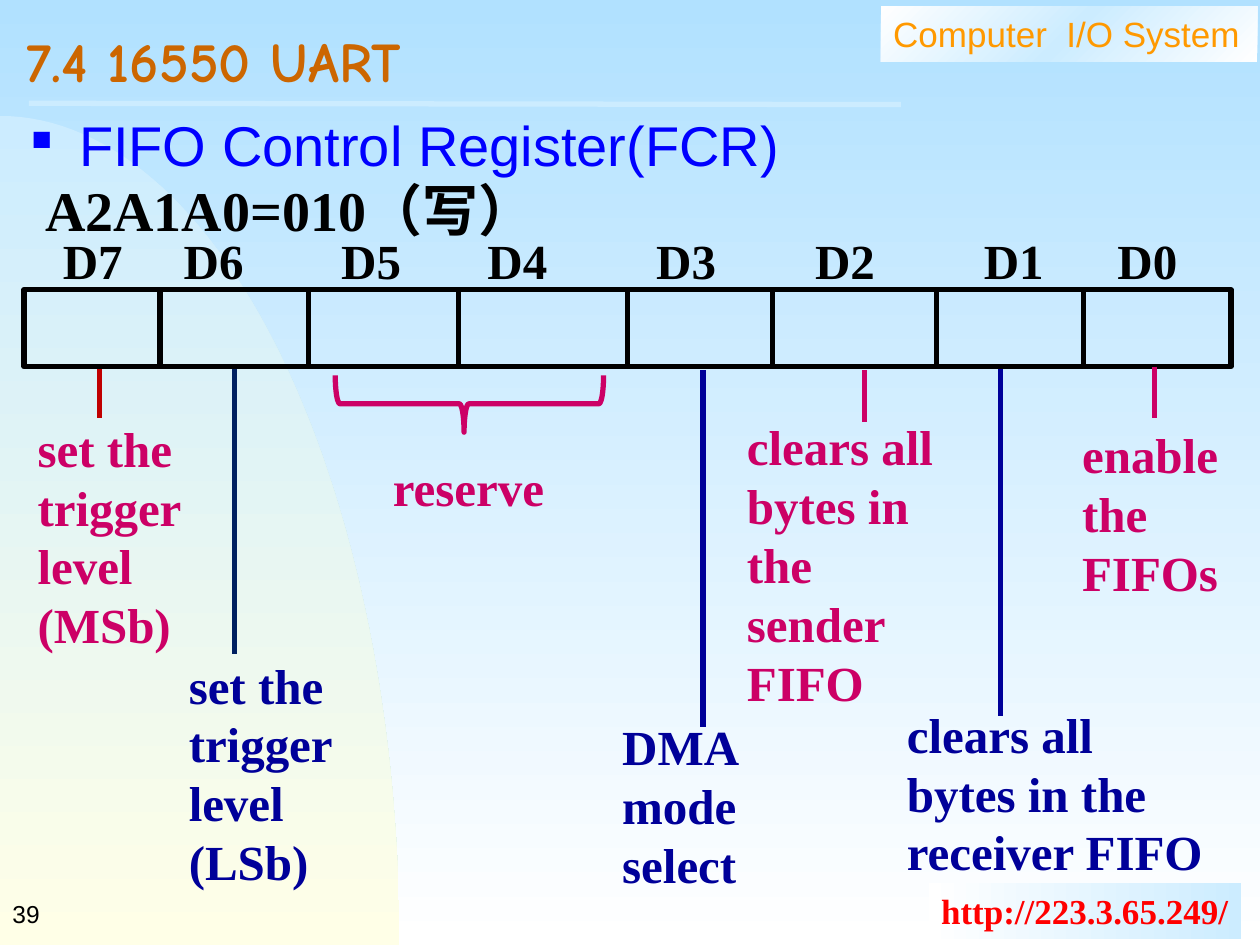
from copy import deepcopy
from math import cos, pi, sin

from lxml import etree
from pptx import Presentation
from pptx.dml.color import RGBColor
from pptx.enum.shapes import MSO_CONNECTOR, MSO_SHAPE
from pptx.enum.text import MSO_ANCHOR, MSO_AUTO_SIZE, PP_ALIGN
from pptx.oxml.ns import qn
from pptx.util import Inches, Pt

STRAIGHT = MSO_CONNECTOR.STRAIGHT
RECTANGLE, RIGHT_BRACE = MSO_SHAPE.RECTANGLE, MSO_SHAPE.RIGHT_BRACE
MIDDLE, LEFT = MSO_ANCHOR.MIDDLE, PP_ALIGN.LEFT
NO_AUTOFIT = MSO_AUTO_SIZE.NONE

SERIF, SANS, HAND = "Times New Roman", "Arial", "Comic Neue"
BLACK, BLUE, NAVY, PINK = "000000", "0000FF", "000099", "CC0066"
PALE, WHITE = "CCECFF", "FFFFFF"


def colour(hex_string):
    return RGBColor.from_string(hex_string)


def box_inches(box):
    return [Inches(value) for value in box]


def set_gradient(fill, colours, angle):
    """Spread the colours evenly; the angle runs counter-clockwise."""
    fill.gradient()
    fill.gradient_angle = angle
    stop_list = fill.gradient_stops[0]._gs.getparent()
    for _ in colours[2:]:
        stop_list.append(deepcopy(stop_list[-1]))
    for index, (stop, value) in enumerate(zip(fill.gradient_stops, colours)):
        stop.color.rgb = colour(value)
        stop.position = index / (len(colours) - 1)


def set_text(shape, text, size, hex_string, font=SERIF, bold=False):
    frame = shape.text_frame
    frame.text = text
    for paragraph in frame.paragraphs:
        paragraph.alignment = LEFT
        for run in paragraph.runs:
            run.font.name, run.font.size, run.font.bold = font, Pt(size), bold
            run.font.color.rgb = colour(hex_string)
    return frame


def add_text(slide, box, text, size, hex_string, font=SERIF, bold=True):
    shape = slide.shapes.add_textbox(*box_inches(box))
    frame = set_text(shape, text, size, hex_string, font, bold)
    frame.word_wrap = True
    return frame


def add_line(slide, start, end, hex_string):
    line = slide.shapes.add_connector(STRAIGHT, *box_inches(start + end))
    line.line.color.rgb = colour(hex_string)
    line.line.width = Pt(3)
    etree.SubElement(line._element.spPr, qn("a:effectLst"))


def add_outline(slide, preset, box, hex_string):
    shape = slide.shapes.add_shape(preset, *box_inches(box))
    shape.shadow.inherit = False
    shape.fill.background()
    shape.line.color.rgb = colour(hex_string)
    shape.line.width = Pt(3)
    return shape


def add_corner_curve(slide, box):
    """A quarter ellipse centred on the box's bottom left corner."""
    left, top, width, height = box
    bottom, steps = top + height, 60
    points = []
    for step in range(1, steps + 1):
        angle = pi / 2 * step / steps
        points.append((Inches(left + width * sin(angle)),
                       Inches(bottom - height * cos(angle))))
    points.append((Inches(left), Inches(bottom)))
    builder = slide.shapes.build_freeform(Inches(left), Inches(top))
    builder.add_line_segments(points, close=True)
    curve = builder.convert_to_shape()
    curve.shadow.inherit = False
    curve.line.fill.background()
    set_gradient(curve.fill, [PALE, "FFFFE7"], 270)


def add_banner(slide, box, text, colours, angle, hex_string, font, bold):
    banner = slide.shapes.add_shape(RECTANGLE, *box_inches(box))
    banner.shadow.inherit = False
    banner.line.fill.background()
    set_gradient(banner.fill, colours, angle)
    frame = set_text(banner, text, 20, hex_string, font, bold)
    frame.vertical_anchor = MSO_ANCHOR.TOP
    frame.word_wrap = False


def add_title(slide, box, text):
    title = slide.shapes.title
    title.left, title.top, title.width, title.height = box_inches(box)
    frame = set_text(title, text, 32, "CC6600", HAND, True)
    frame.vertical_anchor = MIDDLE
    frame.auto_size = NO_AUTOFIT
    frame.paragraphs[0].line_spacing = 0.7


def add_bullet(slide, box, text):
    frame = add_text(slide, box, text, 32, BLUE, SANS, False)
    properties = frame.paragraphs[0]._p.get_or_add_pPr()
    properties.set("marL", str(Inches(0.38)))
    properties.set("indent", str(-Inches(0.38)))
    bullet_colour = etree.SubElement(properties, qn("a:buClr"))
    etree.SubElement(bullet_colour, qn("a:srgbClr"), val=BLUE)
    etree.SubElement(properties, qn("a:buSzPct"), val="50000")
    etree.SubElement(properties, qn("a:buChar"), char="■")


def add_register(slide, box):
    left, top, width, height = box
    add_outline(slide, RECTANGLE, box, BLACK)
    for offset in (1.08, 2.26, 3.45, 4.79, 5.94, 7.24, 8.41):
        x = left + offset
        add_line(slide, (x, top + 0.02), (x, top + height), BLACK)

    # Bit names, spaced by tab stops
    names = "\t".join(f"D{bit}" for bit in range(7, -1, -1))
    frame = add_text(slide, (left + 0.21, top - 0.52, width - 0.3, 0.57), names, 28, BLACK)
    properties = frame.paragraphs[0]._p.get_or_add_pPr()
    tabs = etree.SubElement(properties, qn("a:tabLst"))
    for position in (0.96, 2.21, 3.37, 4.71, 5.97, 7.31, 8.37):
        etree.SubElement(tabs, qn("a:tab"), pos=str(Inches(position)), algn="l")


def add_callout(slide, box, text, text_colour, x, top, bottom, line_colour):
    add_line(slide, (x, top), (x, bottom), line_colour)
    add_text(slide, box, text, 28, text_colour)


def add_reserve(slide, box):
    """A brace over the full width of the box, and its label below."""
    left, top, width, height = box
    depth = 0.45
    centre = left + width / 2
    upright = (centre - depth / 2, top + depth / 2 - width / 2, depth, width)
    brace = add_outline(slide, RIGHT_BRACE, upright, PINK)
    brace.rotation = 90
    brace.adjustments[1] = 0.52
    add_text(slide, (left + 0.36, top + height - 0.57, 1.46, 0.57), "reserve", 28, PINK)


CALLOUTS = [
    ((8.49, 3.32, 1.37, 1.5), "enable the FIFOs", PINK, 9.16, 2.91, 3.32, PINK),
    ((7.1, 5.54, 2.6, 1.5), "clears all bytes in the receiver FIFO", NAVY, 7.94, 2.93, 5.68, NAVY),
    ((5.83, 3.26, 1.85, 2.44), "clears all bytes in the sender FIFO", PINK, 6.86, 2.94, 3.35, PINK),
    ((4.84, 5.64, 1.2, 1.5), "DMA mode select", NAVY, 5.58, 2.94, 5.77, NAVY),
    ((1.4, 5.15, 1.5, 1.97), "set the trigger level\n(LSb)", NAVY, 1.86, 2.93, 5.19, "002060"),
    ((0.2, 3.27, 1.43, 1.97), "set the trigger level\n(MSb)", PINK, 0.79, 2.93, 3.32, "C00000"),
]


def main():
    presentation = Presentation()
    presentation.slide_width, presentation.slide_height = Inches(10), Inches(7.5)
    slide = presentation.slides.add_slide(presentation.slide_layouts[5])

    # Backdrop and banners
    set_gradient(slide.background.fill, ["B1E1FF", WHITE], 270)
    add_corner_curve(slide, (0, 0.92, 3.17, 6.58))
    add_banner(slide, (6.99, 0.05, 2.99, 0.44), "Computer  I/O System",
               [WHITE, PALE, WHITE], 315, "FF9900", SANS, False)
    add_banner(slide, (7.37, 7.01, 2.48, 0.44), "http://223.3.65.249/",
               [WHITE, PALE], 0, "FF0000", SERIF, True)
    add_line(slide, (0.23, 0.82), (7.15, 0.83), PALE)
    number = add_text(slide, (0, 7, 2.08, 0.5), "39", 14, BLACK, SANS, False)
    number.vertical_anchor = MIDDLE

    # Headings
    add_title(slide, (0.11, 0.16, 9.55, 0.77), "7.4 16550 UART")
    add_bullet(slide, (0.15, 0.83, 9.6, 6.22), "FIFO Control Register(FCR)")
    add_text(slide, (0.26, 1.34, 4.76, 0.64), "A2A1A0=010（写）", 32, BLACK)

    # Register and the meaning of its bits
    add_register(slide, (0.19, 2.3, 9.58, 0.61))
    for callout in CALLOUTS:
        add_callout(slide, *callout)
    add_reserve(slide, (2.66, 2.98, 2.13, 1.17))

    presentation.save("out.pptx")


if __name__ == "__main__":
    main()
